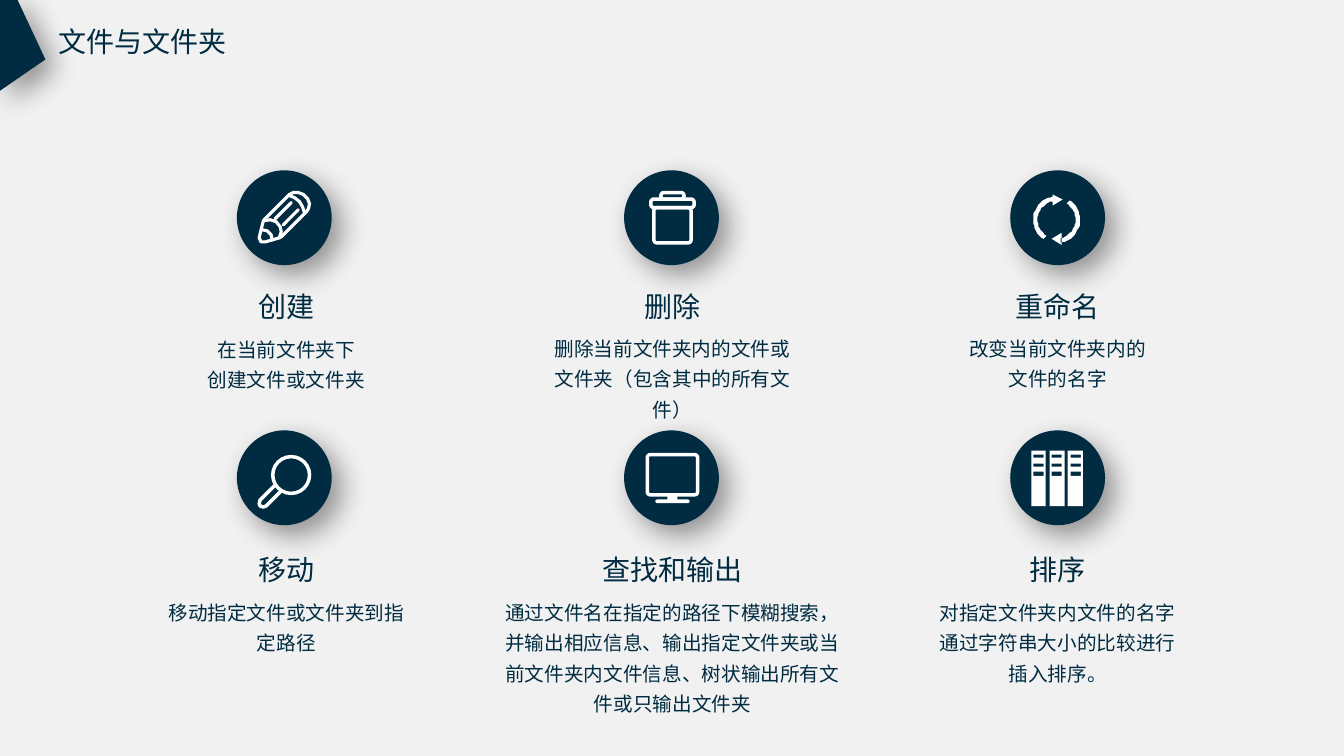
from math import cos, radians, sin

from lxml import etree
from pptx import Presentation
from pptx.dml.color import RGBColor
from pptx.enum.shapes import MSO_SHAPE
from pptx.enum.text import MSO_ANCHOR, MSO_AUTO_SIZE, PP_ALIGN
from pptx.oxml.ns import qn
from pptx.util import Inches, Pt

NAVY = RGBColor(0x00, 0x2B, 0x41)
WHITE = RGBColor(0xFF, 0xFF, 0xFF)
PAPER = RGBColor(0xF1, 0xF1, 0xF1)
FONT = "Noto Sans CJK SC"
OVAL, BOX, ROUNDED = MSO_SHAPE.OVAL, MSO_SHAPE.RECTANGLE, MSO_SHAPE.ROUNDED_RECTANGLE
LEFT, CENTER, TOP = PP_ALIGN.LEFT, PP_ALIGN.CENTER, MSO_ANCHOR.TOP
FIT_SHAPE = MSO_AUTO_SIZE.SHAPE_TO_FIT_TEXT

TITLE = "文件与文件夹"
OPERATIONS = [
    [("pencil", "创建", ["在当前文件夹下", "创建文件或文件夹"], 2.65, 3.23),
     ("bin", "删除", ["删除当前文件夹内的文件或", "文件夹\uff08包含其中的所有文件\uff09"], 2.84, 3.22),
     ("cycle", "重命名", ["改变当前文件夹内的", "文件的名字"], 2.84, 3.22)],
    [("magnifier", "移动", ["移动指定文件或文件夹到指定路径"], 2.65, 5.84),
     ("monitor", "查找和输出",
      ["通过文件名在指定的路径下模糊搜索\uff0c并输出相应信息、输出指定文件夹或当前文件夹内"
       "文件信息、树状输出所有文件或只输出文件夹"], 3.56, 5.84),
     ("cabinets", "排序", ["对指定文件夹内文件的名字通过字符串大小的比较进行插入排序。"], 2.65, 5.84)],
]
DISC_CENTERS = [2.82, 6.66, 10.49]
TEXT_CENTERS = [2.84, 6.67, 10.49]
DISC_ROWS = [2.16, 4.74]
HEADING_ROWS = [2.82, 5.43]
DISC, HEADING_WIDTH, LINE_HEIGHT = 0.94, 1.9, 0.44

UNIT = Inches(0.01)
CORNER = [(17, -1), (0, -1), (0, 90), (45, 59)]
PENCIL_BODY = [(-25, 20), (-21, 4), (-20, 2), (5, -23), (9, -25), (14, -25), (19, -23), (23, -19),
               (25, -14), (24, -9), (22, -6), (-3, 19), (-5, 20), (-19, 24), (-23, 24), (-25, 20)]
PENCIL_LINES = [
    PENCIL_BODY,
    [(5, -22), (10, -20), (15, -16), (18, -11), (20, -5)],
    [(-20, 3), (-14, 2), (-8, 4), (-4, 9), (-3, 14), (-5, 20)],
    [(-22, 12), (-17, 13), (-13, 17), (-12, 22)],
    [(-9, 1), (7, -15)],
    [(-1, 7), (14, -8)],
]
MAGNIFIER_HANDLE = [(-10, 8), (-24, 22), (-25, 26), (-24, 28), (-21, 29), (-18, 28), (-4, 14)]
ARROWHEADS = [[(-5, -23), (5, -17.5), (-5, -12)], [(4, 15), (-6, 21), (4, 27)]]
BIN_BOXES = [((-17.5, -10, 37, 35), 3), ((-20.5, -18.5, 43, 8.5), 3), ((-10.5, -25, 23, 6.5), 3)]


def paint(shape, fill=None, stroke=None, width=2.5):
    shape.shadow.inherit = False
    if fill is None:
        shape.fill.background()
    else:
        shape.fill.solid()
        shape.fill.fore_color.rgb = fill
    if stroke is None:
        shape.line.fill.background()
    else:
        shape.line.color.rgb = stroke
        shape.line.width = Pt(width)
        shape.line._get_or_add_ln().set("cap", "rnd")
    return shape


def cast_shadow(shape):
    effects = shape._element.spPr.find(qn("a:effectLst"))
    shadow = etree.SubElement(effects, qn("a:outerShdw"), blurRad=str(Pt(20)), dist=str(Pt(10)),
                              dir="2700000", algn="tl", rotWithShape="0")
    color = etree.SubElement(shadow, qn("a:srgbClr"), val="000000")
    etree.SubElement(color, qn("a:alpha"), val="40000")


def draw_outlines(outlines, center=(0, 0), closed=False, **style):
    builder = slide.shapes.build_freeform(*outlines[0][0], scale=UNIT)
    for index, points in enumerate(outlines):
        if index:
            builder.move_to(*points[0])
        builder.add_line_segments(points[1:], close=closed)
    return paint(builder.convert_to_shape(*map(Inches, center)), **style)


def draw_preset(preset, box, center, radius=0, **style):
    left, top, width, height = (Inches(value / 100) for value in box)
    x, y = map(Inches, center)
    shape = slide.shapes.add_shape(preset, x + left, y + top, width, height)
    if radius:
        shape.adjustments[0] = min(radius / min(box[2:]), 0.5)
    return paint(shape, **style)


def write(shape, paragraphs, size=14, align=CENTER, spacing=None, wrap=True):
    frame = shape.text_frame
    frame.word_wrap = wrap
    frame.auto_size = FIT_SHAPE
    frame.vertical_anchor = TOP
    for index, text in enumerate(paragraphs):
        paragraph = frame.add_paragraph() if index else frame.paragraphs[0]
        paragraph.alignment = align
        paragraph.line_spacing = spacing
        run = paragraph.add_run()
        run.text = text
        run.font.size = Pt(size)
        run.font.name = FONT
        run.font.color.rgb = NAVY
        etree.SubElement(run._r.get_or_add_rPr(), qn("a:ea"), typeface=FONT)


def add_text(center, top, width, height, paragraphs, **style):
    box = slide.shapes.add_textbox(*map(Inches, (center - width / 2, top, width, height)))
    write(box, paragraphs, **style)


def draw_pencil(center):
    draw_outlines(PENCIL_LINES, center, stroke=WHITE, width=2.25)


def draw_bin(center):
    for box, radius in BIN_BOXES:
        draw_preset(ROUNDED, box, center, radius, stroke=WHITE)


def arc(radius, start):
    angles = [radians(start + step) for step in range(0, 136, 5)]
    return [(-1 + radius * cos(angle), 2 + radius * sin(angle)) for angle in angles]


def draw_cycle(center):
    bands = [arc(23.25, start) + arc(18.75, start)[::-1] for start in (124, -56)]
    draw_outlines(bands + ARROWHEADS, center, closed=True, fill=WHITE)


def draw_magnifier(center):
    draw_preset(OVAL, (-11.5, -21, 36.5, 36.5), center, stroke=WHITE)
    draw_outlines([MAGNIFIER_HANDLE], center, stroke=WHITE)


def draw_monitor(center):
    draw_preset(ROUNDED, (-24, -23, 50, 40), center, 3, stroke=WHITE)
    draw_preset(BOX, (-4, 18, 10, 4), center, fill=WHITE)
    draw_preset(ROUNDED, (-16, 21.5, 34, 3.5), center, 1.75, fill=WHITE)


def rectangle(left, top, width, height):
    right, bottom = left + width, top + height
    return [(left, top), (right, top), (right, bottom), (left, bottom)]


def draw_cabinets(center):
    outlines = []
    for left in (-26, -7.75, 10.5):
        outlines.append(rectangle(left, -27, 14.5, 55))
        outlines += [rectangle(left + 2.25, top, 10, 3.5)[::-1] for top in (-23, -14.5, -6)]
    draw_outlines(outlines, center, closed=True, fill=WHITE)


ICONS = {"pencil": draw_pencil, "bin": draw_bin, "cycle": draw_cycle,
         "magnifier": draw_magnifier, "monitor": draw_monitor, "cabinets": draw_cabinets}

deck = Presentation()
deck.slide_width, deck.slide_height = Inches(13.33), Inches(7.5)
slide = deck.slides.add_slide(deck.slide_layouts[5])
slide.background.fill.solid()
slide.background.fill.fore_color.rgb = PAPER

title = slide.shapes.title
title.left, title.top, title.width, title.height = map(Inches, (0.48, 0.19, 1.87, LINE_HEIGHT))
write(title, [TITLE], size=20, align=LEFT, wrap=False)
cast_shadow(draw_outlines([CORNER], closed=True, fill=NAVY))

for row, operations in enumerate(OPERATIONS):
    for column, (icon, heading, description, width, top) in enumerate(operations):
        center = DISC_CENTERS[column], DISC_ROWS[row]
        side = DISC * 100
        cast_shadow(draw_preset(OVAL, (-side / 2, -side / 2, side, side), center, fill=NAVY))
        ICONS[icon](center)
        middle = TEXT_CENTERS[column]
        add_text(middle, HEADING_ROWS[row], HEADING_WIDTH, LINE_HEIGHT, [heading], size=20)
        add_text(middle, top, width, 0.71, description, spacing=1.3)

deck.save("out.pptx")
